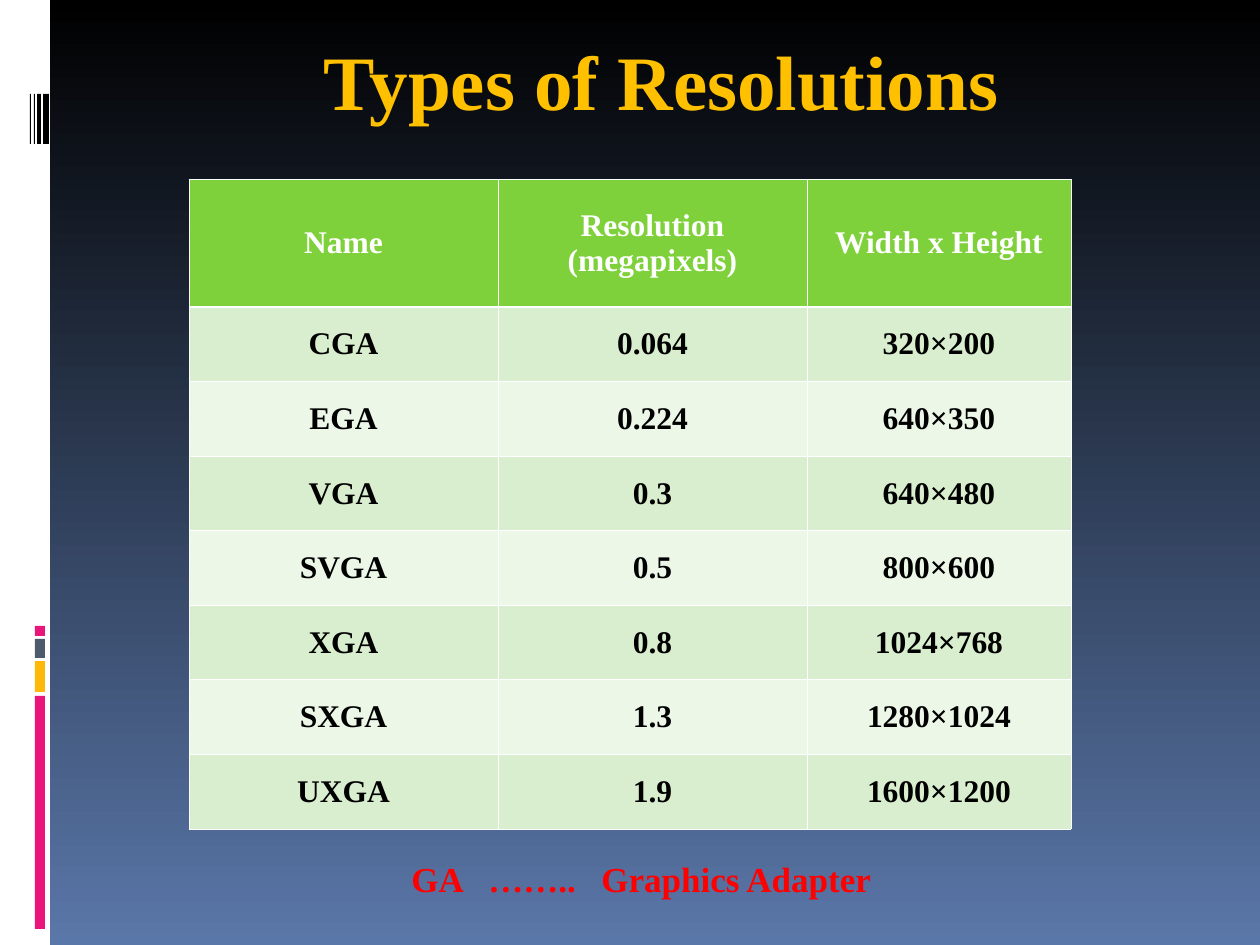
from lxml import etree
from pptx import Presentation
from pptx import util as u
from pptx.dml import color as dml
from pptx.enum import shapes, text
from pptx.oxml import ns

PX_PER_INCH = 126
WHITE, BLACK, PINK, AMBER, SLATE = "FFFFFF", "000000", "EA157A", "FEB80A", "4E5B6F"
CENTER, LEFT = text.PP_ALIGN.CENTER, text.PP_ALIGN.LEFT


def px(length):
    return u.Emu(round(length * u.Inches(1) / PX_PER_INCH))


def rgb(value):
    return dml.RGBColor.from_string(value)


class SlideBuilder:
    font = "Times New Roman"
    header_fill = "7FD13B"
    band_fills = ("D8EECE", "ECF7E8")
    thin, thick = 0.45, 1.47

    def __init__(self, slide):
        self.slide = slide

    def background(self, top, bottom):
        fill = self.slide.background.fill
        fill.gradient()
        fill.gradient_angle = 270
        for stop, value in zip(fill.gradient_stops, (top, bottom)):
            stop.color.rgb = rgb(value)

    def bar(self, left, top, width, height, fill):
        shape = self.slide.shapes.add_shape(
            shapes.MSO_SHAPE.RECTANGLE, px(left), px(top), px(width), px(height))
        shape.shadow.inherit = False
        shape.fill.solid()
        shape.fill.fore_color.rgb = rgb(fill)
        shape.line.fill.background()

    def add_text(self, paragraph, content, size, color, align=CENTER):
        paragraph.alignment = align
        for index, line in enumerate(content.split("\n")):
            if index:
                paragraph.add_line_break()
            run = paragraph.add_run()
            run.text = line
            run.font.name = self.font
            run.font.size = u.Pt(size)
            run.font.bold = True
            run.font.color.rgb = rgb(color)

    def label(self, left, top, width, height, content, size, color,
              align=CENTER, bottom_inset=6, tabs=()):
        box = self.slide.shapes.add_textbox(px(left), px(top), px(width), px(height))
        frame = box.text_frame
        frame.word_wrap = True
        frame.vertical_anchor = text.MSO_ANCHOR.MIDDLE
        frame.margin_bottom = px(bottom_inset)
        paragraph = frame.paragraphs[0]
        self.add_text(paragraph, content, size, color, align)
        if tabs:
            properties = paragraph._p.get_or_add_pPr()
            tab_list = etree.SubElement(properties, ns.qn("a:tabLst"))
            for position in tabs:
                etree.SubElement(tab_list, ns.qn("a:tab"), pos=str(px(position)), algn="l")

    def border(self, cell, side, width):
        properties = cell._tc.get_or_add_tcPr()
        line = etree.SubElement(properties, ns.qn(f"a:ln{side}"), w=str(u.Pt(width)))
        fill = etree.SubElement(line, ns.qn("a:solidFill"))
        etree.SubElement(fill, ns.qn("a:srgbClr"), val=WHITE)

    def table(self, left, top, column_widths, header_height, body_height, rows):
        body_rows = len(rows) - 1
        frame = self.slide.shapes.add_table(
            len(rows), len(column_widths), px(left), px(top),
            px(sum(column_widths)), px(header_height + body_height))
        table = frame.table
        for column, width in zip(table.columns, column_widths):
            column.width = px(width)
        for row_index, values in enumerate(rows):
            header = row_index == 0
            table.rows[row_index].height = (
                px(header_height) if header else px(body_height) // body_rows)
            fill = self.header_fill if header else self.band_fills[(row_index - 1) % 2]
            edges = {"L": self.thin, "R": self.thin,
                     "T": self.thick if row_index == 1 else self.thin,
                     "B": self.thick if header else self.thin}
            for column_index, value in enumerate(values):
                cell = table.cell(row_index, column_index)
                cell.vertical_anchor = text.MSO_ANCHOR.MIDDLE
                for side, width in edges.items():
                    self.border(cell, side, width)
                cell.fill.solid()
                cell.fill.fore_color.rgb = rgb(fill)
                self.add_text(cell.text_frame.paragraphs[0], value, 18,
                              WHITE if header else BLACK)


def main():
    presentation = Presentation()
    presentation.slide_width, presentation.slide_height = px(1260), px(945)
    builder = SlideBuilder(presentation.slides.add_slide(presentation.slide_layouts[6]))

    builder.background(BLACK, "5A77A9")
    builder.bar(0, 0, 50, 945, WHITE)
    for top, height, fill in ((696, 233, PINK), (661, 31, AMBER),
                              (639, 19, SLATE), (626, 10, PINK)):
        builder.bar(35, top, 10, height, fill)
    for left, width in ((43, 6), (37, 4), (34, 1), (30, 1)):
        builder.bar(left, 94, width, 50, BLACK)

    builder.label(126, 21, 1071, 126, "Types of Resolutions", 44, "FFC000", bottom_inset=14)
    builder.table(189, 179, (309, 309, 264), 128, 522, (
        ("Name", "Resolution\n(megapixels)", "Width x Height"),
        ("CGA", "0.064", "320×200"),
        ("EGA", "0.224", "640×350"),
        ("VGA", "0.3", "640×480"),
        ("SVGA", "0.5", "800×600"),
        ("XGA", "0.8", "1024×768"),
        ("SXGA", "1.3", "1280×1024"),
        ("UXGA", "1.9", "1600×1200"),
    ))
    builder.label(399, 851, 494, 55, "GA\t……..\tGraphics Adapter", 20, "FF0000",
                  align=LEFT, tabs=(77, 190))

    presentation.save("out.pptx")


if __name__ == "__main__":
    main()
